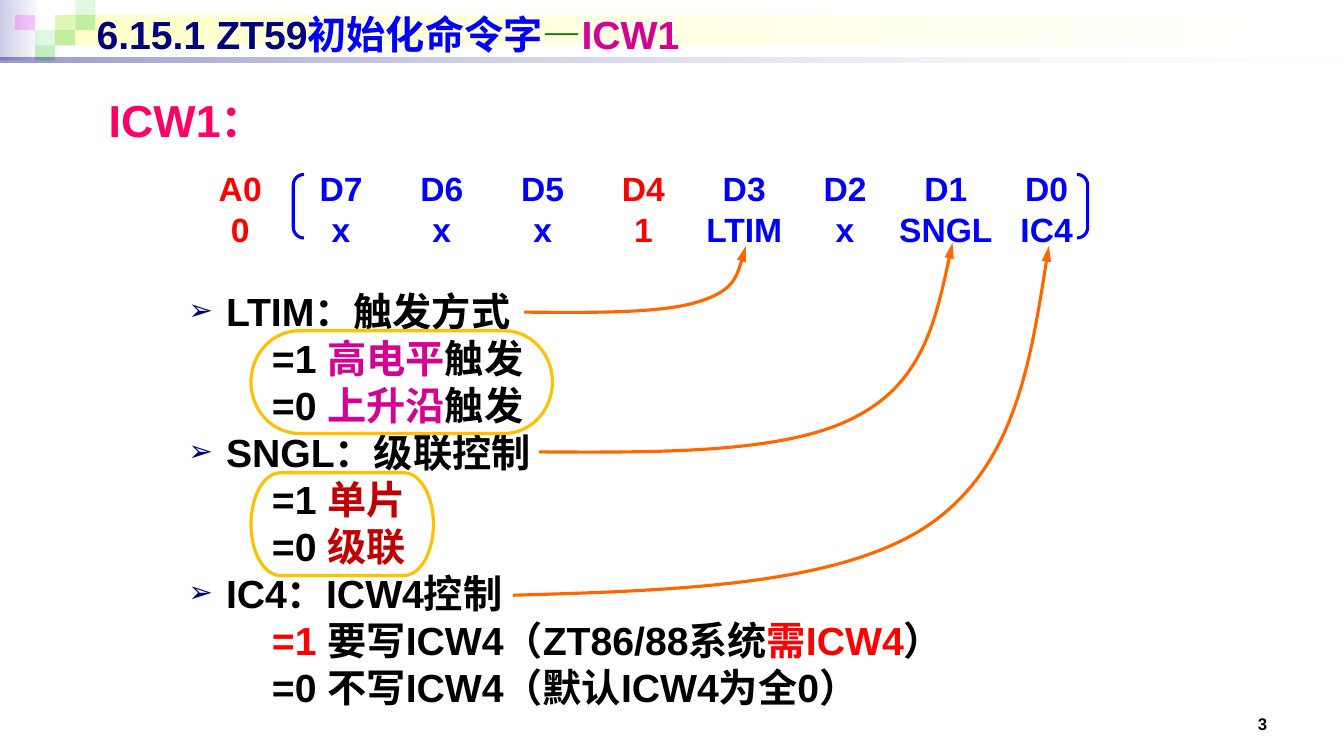
from dataclasses import dataclass
from typing import Optional

import lxml.etree
import pptx
import pptx.dml.color
import pptx.enum.shapes
import pptx.enum.text
import pptx.oxml.ns
import pptx.util

Pt = pptx.util.Pt
Preset = pptx.enum.shapes.MSO_SHAPE
Anchor = pptx.enum.text.MSO_ANCHOR
Align = pptx.enum.text.PP_ALIGN
qn = pptx.oxml.ns.qn

COLORS = {
    "black": "000000", "white": "FFFFFF", "navy": "00007D", "blue": "0000FF",
    "red": "FF0000", "dark red": "C00000", "rose": "FF0066", "magenta": "D60093",
    "dash": "008000", "orange": "FF6600", "gold": "FFC000", "lavender": "CCCCE6",
    "cream": "FFFFCC", "green": "33CC33", "pink": "FF00FF",
}

Span = tuple[str, str]  # text, colour name
Point = tuple[float, float]


@dataclass
class Line:
    spans: list[Span]
    bullet: bool = False


@dataclass
class Bar:
    left: float
    top: float
    width: float
    height: float
    start: str
    start_alpha: int = 100
    end: Optional[str] = None
    end_alpha: int = 100


@dataclass
class Outline:
    preset: Preset
    left: float
    top: float
    width: float
    height: float
    color: str


@dataclass
class Bit:
    name: str
    value: str
    color: str = "blue"


def rgb(name: str) -> pptx.dml.color.RGBColor:
    return pptx.dml.color.RGBColor.from_string(COLORS[name])


def add_child(parent, tag: str, **attributes: str):
    return lxml.etree.SubElement(parent, qn(tag), attributes)


def set_alpha(fill, values: list[int]) -> None:
    for color, value in zip(fill.iter(qn("a:srgbClr")), values):
        if value < 100:
            add_child(color, "a:alpha", val=str(value * 1000))


def add_text(page, lines: list[Line], left: float, top: float, width: float, height: float, *,
             size: float, anchor=Anchor.TOP, align=Align.LEFT, spacing: Optional[float] = None,
             indent: float = 0, hanging: float = 0, side_margin: float = 7.2) -> None:
    box = page.shapes.add_textbox(Pt(left), Pt(top), Pt(width), Pt(height))
    frame = box.text_frame
    frame.word_wrap = True
    frame.vertical_anchor = anchor
    frame.margin_left = frame.margin_right = Pt(side_margin)
    for index, line in enumerate(lines):
        para = frame.paragraphs[0] if index == 0 else frame.add_paragraph()
        para.alignment = align
        if spacing:
            para.line_spacing = Pt(spacing)
        properties = para._p.get_or_add_pPr()
        properties.set("marL", str(Pt(hanging if line.bullet else indent)))
        properties.set("indent", str(Pt(-hanging if line.bullet else 0)))
        if line.bullet:
            add_child(add_child(properties, "a:buClr"), "a:srgbClr", val=COLORS["navy"])
            add_child(properties, "a:buSzPct", val="75000")
            add_child(properties, "a:buFont", typeface="Arial")
            add_child(properties, "a:buChar", char="➢")
        for text, color in line.spans:
            span = para.add_run()
            span.text = text
            span.font.name = "Arial"
            span.font.size = Pt(size)
            span.font.bold = True
            span.font.color.rgb = rgb(color)


def add_bar(page, bar: Bar) -> None:
    shape = page.shapes.add_shape(Preset.RECTANGLE, Pt(bar.left), Pt(bar.top),
                                  Pt(bar.width), Pt(bar.height))
    shape.shadow.inherit = False
    shape.line.fill.background()
    if bar.end:
        shape.fill.gradient()
        shape.fill.gradient_angle = 0
        for stop, color in zip(shape.fill.gradient_stops, (bar.start, bar.end)):
            stop.color.rgb = rgb(color)
    else:
        shape.fill.solid()
        shape.fill.fore_color.rgb = rgb(bar.start)
    set_alpha(shape._element.spPr, [bar.start_alpha, bar.end_alpha])


def add_outline(page, outline: Outline) -> None:
    shape = page.shapes.add_shape(outline.preset, Pt(outline.left), Pt(outline.top),
                                  Pt(outline.width), Pt(outline.height))
    shape.shadow.inherit = False
    shape.fill.background()
    shape.line.color.rgb = rgb(outline.color)
    shape.line.width = Pt(2.25)


def add_curved_arrow(page, points: list[Point]) -> None:
    """Draw cubic curves through a start point and groups of three points."""
    corners = [(Pt(x), Pt(y)) for x, y in points]
    builder = page.shapes.build_freeform(*corners[0])
    builder.add_line_segments(corners[1:], close=False)
    shape = builder.convert_to_shape()
    shape.shadow.inherit = False
    shape.fill.background()
    shape.line.color.rgb = rgb("orange")
    shape.line.width = Pt(2.25)
    add_child(shape.line._get_or_add_ln(), "a:tailEnd", type="triangle", len="lg")
    # Turn every three straight segments into one cubic curve
    outline = next(shape._element.iter(qn("a:path")))
    segments = outline.findall(qn("a:lnTo"))
    for first in range(0, len(segments), 3):
        curve = add_child(outline, "a:cubicBezTo")
        for segment in segments[first:first + 3]:
            curve.append(segment[0])
            outline.remove(segment)


SQUARE_W, SQUARE_H = 14.4, 10.8
SQUARES = [  # column, row, colour, opacity
    (2, 1, "green", 15), (3, 0, "green", 15), (3, 1, "green", 30), (1, 2, "green", 15),
    (0, 1, "pink", 20), (2, 2, "green", 30), (1, 3, "green", 30),
]
BARS = [
    Bar(0, 0, 30, 43.2, "lavender", end="white"),
    Bar(39.6, 10.8, 916.6, 21.6, "cream", end="white"),
    *[Bar(10.6 + column * SQUARE_W, row * SQUARE_H, SQUARE_W, SQUARE_H, color, alpha)
      for column, row, color, alpha in SQUARES],
    Bar(0, 41, 960, 3.6, "navy", 40, "white", 10),
]

TITLE = [Line([("6.15.1 ZT59", "navy"), ("初始化命令字", "blue"), ("—", "dash"),
               ("ICW1", "magenta")])]

BIT_LEFT, BIT_PITCH = 135.6, 72
BITS = [
    Bit("A0", "0", "red"), Bit("D7", "x"), Bit("D6", "x"), Bit("D5", "x"),
    Bit("D4", "1", "red"), Bit("D3", "LTIM"), Bit("D2", "x"), Bit("D1", "SNGL"),
    Bit("D0", "IC4"),
]

FIELDS = [
    Line([("LTIM：触发方式", "black")], bullet=True),
    Line([("=1 ", "black"), ("高电平", "magenta"), ("触发", "black")]),
    Line([("=0 ", "black"), ("上升沿", "magenta"), ("触发", "black")]),
    Line([("SNGL：级联控制", "black")], bullet=True),
    Line([("=1 ", "black"), ("单片", "dark red")]),
    Line([("=0 ", "black"), ("级联", "dark red")]),
    Line([("IC4：ICW4控制", "black")], bullet=True),
    Line([("=1 ", "red"), ("要写ICW4（ZT86/88系统", "black"), ("需ICW4", "red"),
          ("）", "black")]),
    Line([("=0 不写ICW4（默认ICW4为全0）", "black")]),
]

ARROWS = [
    [(374.4, 223), (422.6, 223.4), (470.9, 223.9), (497.5, 216),
     (524.2, 208), (528.5, 192.2), (532.8, 175.7)],
    [(385.2, 322.8), (473, 323.3), (560.2, 323.6), (609.1, 298.8),
     (658.8, 274.3), (669.6, 223.9), (680.4, 173.5)],
    [(366.5, 425.2), (481.7, 421.9), (596.9, 418.3), (661, 376.6),
     (724.3, 334.8), (736.6, 255.6), (749.2, 175.7)],
]

OUTLINES = [
    Outline(Preset.DOUBLE_BRACKET, 209.5, 124.6, 567.4, 45.4, "blue"),
    Outline(Preset.FLOWCHART_TERMINATOR, 179.3, 236.2, 215.3, 73.4, "gold"),
    Outline(Preset.FLOWCHART_TERMINATOR, 179.3, 337.7, 130.3, 73.4, "gold"),
]


def main() -> None:
    deck = pptx.Presentation()
    deck.slide_width, deck.slide_height = Pt(960), Pt(540)
    page = deck.slides.add_slide(deck.slide_layouts[6])

    # Header decoration
    for bar in BARS:
        add_bar(page, bar)

    # Page number, heading and field list
    add_text(page, [Line([("3", "black")])], 688.3, 491.8, 223.9, 36, size=12,
             anchor=Anchor.BOTTOM, align=Align.RIGHT)
    add_text(page, [Line([("ICW1：", "rose")])], 70.6, 62.6, 669.6, 45.4, size=32)
    add_text(page, FIELDS, 127.4, 201.5, 668.2, 324.7, size=28, spacing=33.6,
             indent=59.8, hanging=27)

    # Register: one centred column per bit
    for index, bit in enumerate(BITS):
        column = [Line([(bit.name, bit.color)]), Line([(bit.value, bit.color)])]
        add_text(page, column, BIT_LEFT + index * BIT_PITCH, 113.7, BIT_PITCH, 67.7, size=24,
                 anchor=Anchor.BOTTOM, align=Align.CENTER, spacing=29.3, side_margin=0)

    # Arrows from the fields to their bits, then brackets and frames
    for points in ARROWS:
        add_curved_arrow(page, points)
    for outline in OUTLINES:
        add_outline(page, outline)

    # Title
    add_text(page, TITLE, 61.9, 3.6, 864, 41, size=28, anchor=Anchor.MIDDLE)

    deck.save("out.pptx")


if __name__ == "__main__":
    main()
